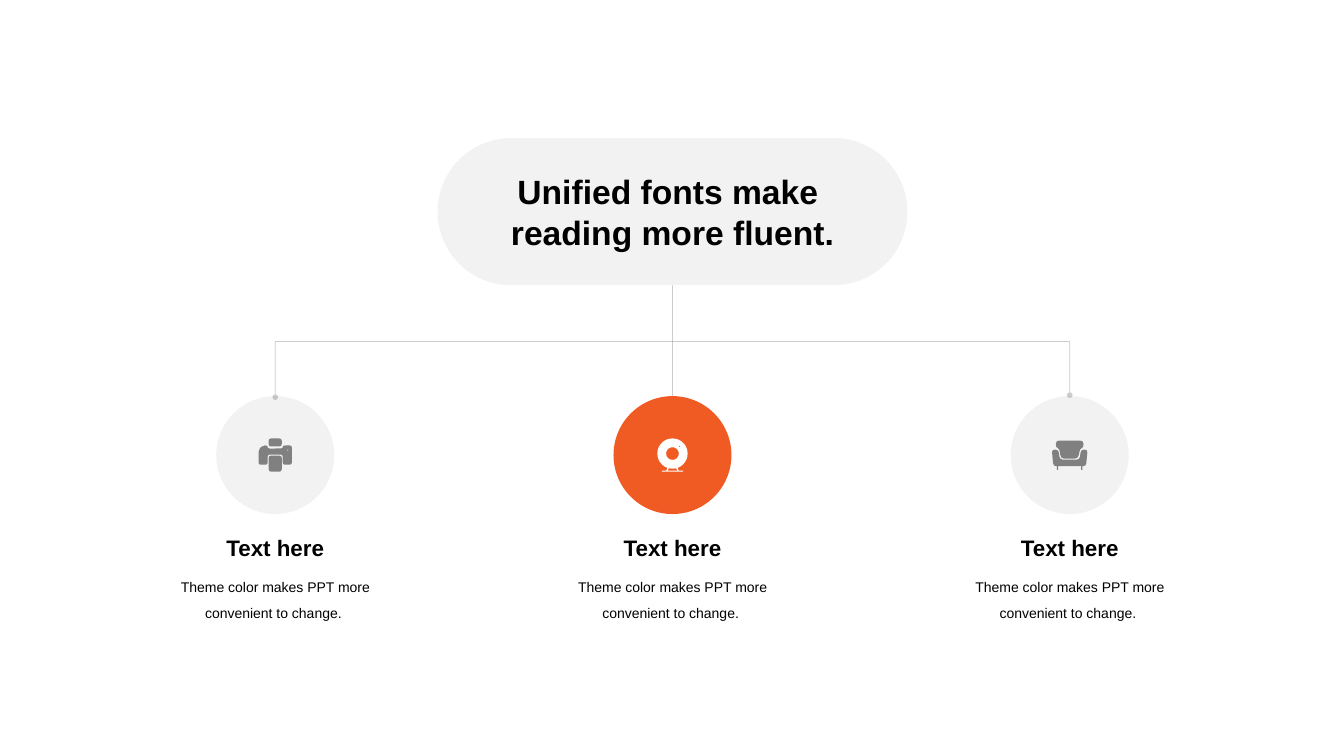
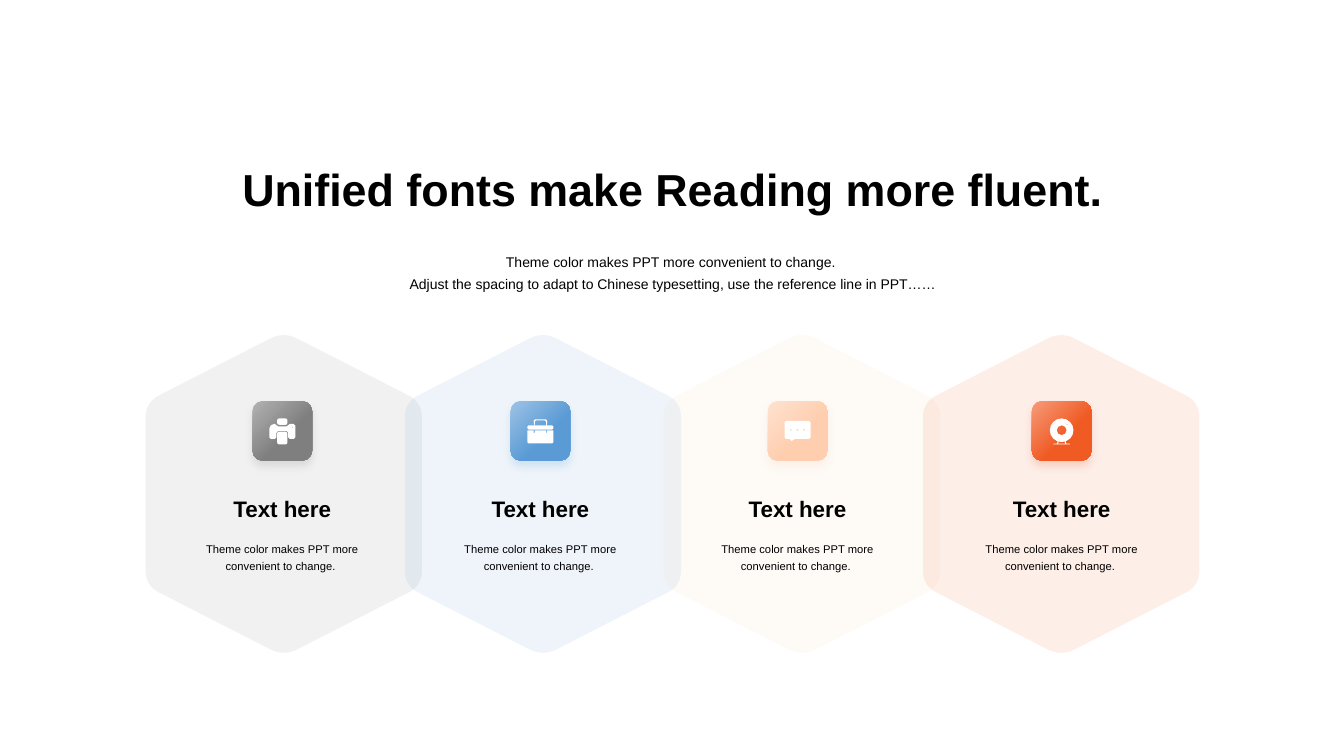
import math

import pptx
import pptx.dml.color
import pptx.enum.dml
import pptx.enum.shapes
import pptx.enum.text
import pptx.oxml
import pptx.oxml.ns
import pptx.util
from lxml import etree

WIDTH, HEIGHT = 13.33, 7.5
MIDDLE = 6.67
FONT = "Arial"
COLORS = {
    "ink": "000000", "white": "FFFFFF", "gray": "808080", "orange": "F05A23",
    "slate": "7F7F7F", "slate_light": "B2B2B2", "blue": "5B9BD5", "blue_light": "9DC3E6",
    "peach": "FECEAF", "peach_light": "FEE2CF", "orange_light": "F69C7B",
}
HEADING = "Text here"
DETAIL = "Theme color makes PPT more convenient to change. "
PILL_LINES = ["Unified fonts make ", "reading more fluent."]
TITLE = [("Unified fonts make Rea", 32), (" ", 1), ("ding more fluent.", 32)]
INTRO = [DETAIL, "Adjust the spacing to adapt to Chinese typesetting, use the reference line in PPT……"]

BRANCHES = [  # icon, disc colour, disc opacity, icon colour
    ("printer", "gray", 10, "gray"),
    ("webcam", "orange", 100, "white"),
    ("sofa", "gray", 10, "gray"),
]
BRANCH_PITCH = 3.94

CARDS = [  # icon, colour, centre of the card's content
    ("printer", "slate", 2.8),
    ("briefcase", "blue", 5.36),
    ("chat", "peach", 7.91),
    ("webcam", "orange", 10.53),
]
CARD_PITCH = 2.57
HEXAGON_W, HEXAGON_TOP, HEXAGON_BOTTOM = 2.74, 3.29, 6.51
HEXAGON_SHOULDER = 0.7


def sharp(*points):
    return False, list(points)


def rounded(points, radius):
    """Contour whose corners become curves: start, control and end of each."""
    outline = []
    for index, corner in enumerate(points):
        ends = []
        for other in (points[index - 1], points[(index + 1) % len(points)]):
            length = math.dist(corner, other)
            share = min(radius, length / 2) / length
            ends.append(tuple(c + (o - c) * share for c, o in zip(corner, other)))
        outline += [ends[0], corner, ends[1]]
    return True, outline


def block(x, y, w, h, radius=0):
    corners = [(x, y), (x + w, y), (x + w, y + h), (x, y + h)]
    return rounded(corners, radius) if radius else sharp(*corners)


def disc(x, y, radius, sides=8):
    """Circle as the rounded polygon around it."""
    reach = radius / math.cos(math.pi / sides)
    turns = [math.tau * (step + 0.5) / sides for step in range(sides)]
    return rounded([(x + reach * math.cos(t), y + reach * math.sin(t)) for t in turns], reach)


# Icon contours in hundredths of an inch; a contour inside another is a hole.
ICONS = {
    "printer": [
        block(10, 0, 13, 8, 2.5), block(10, 17, 13, 16, 2.5), disc(29, 11.5, 0.8, 4),
        rounded([(4, 7), (9, 7), (9, 10), (24, 10), (24, 7), (33, 7), (33, 26), (24, 26),
                 (24, 16), (9, 16), (9, 26), (0, 26), (0, 11)], 2),
    ],
    "webcam": [
        disc(15, 15, 15), disc(15, 15, 6.3), disc(22, 8, 0.8, 4), block(4.5, 32, 21, 1),
        sharp((10, 29.3), (11.2, 29.8), (10.2, 32), (8.8, 32)),
        sharp((20, 29.3), (18.8, 29.8), (19.8, 32), (21.2, 32)),
    ],
    "sofa": [
        rounded([(4, 0), (31.5, 0), (31.5, 7), (28, 8), (26, 18), (9, 18), (7.5, 8), (4, 7)], 3.5),
        rounded([(0, 9), (6.5, 9), (8, 19), (27.5, 19), (29, 9), (35.5, 9),
                 (34, 25.5), (1.5, 25.5)], 3),
        block(5, 25.5, 1.3, 3.5), block(29.2, 25.5, 1.3, 3.5),
    ],
    "briefcase": [
        rounded([(8, 7.5), (8, 0), (25, 0), (25, 7.5), (23.7, 7.5), (23.7, 1.3),
                 (9.3, 1.3), (9.3, 7.5)], 1.5),
        block(0, 7.5, 33, 5.3, 1.5),
        sharp((0, 14), (8, 14), (8, 17), (9, 17), (9, 14), (24, 14), (24, 17), (25, 17),
              (25, 14), (33, 14), (33, 29), (31.5, 30.5), (1.5, 30.5), (0, 29)),
    ],
    "chat": [
        rounded([(0, 0), (33, 0), (33, 23), (12, 23), (8, 27), (8, 23), (0, 23)], 1.8),
        disc(8, 11.5, 1.5, 4), disc(16.5, 11.5, 1.5, 4), disc(25, 11.5, 1.5, 4),
    ],
}


def rgb(name):
    return pptx.dml.color.RGBColor.from_string(COLORS[name])


def inches(*values):
    return [pptx.util.Inches(value) for value in values]


def set_opacity(shape, percent):
    for color in shape._element.spPr.iter(pptx.oxml.ns.qn("a:srgbClr")):
        etree.SubElement(color, pptx.oxml.ns.qn("a:alpha"), val=str(percent * 1000))


def paint(shape, color, opacity=100):
    shape.shadow.inherit = False
    shape.line.fill.background()
    shape.fill.solid()
    shape.fill.fore_color.rgb = rgb(color)
    if opacity < 100:
        set_opacity(shape, opacity)


def add_preset(page, kind, x, y, w, h, color, opacity=100):
    shape = page.shapes.add_shape(kind, *inches(x, y, w, h))
    paint(shape, color, opacity)
    return shape


def bend_corners(shape, contours):
    """Turn the control and end points of rounded contours into curves."""
    trace = shape._element.spPr.find(".//" + pptx.oxml.ns.qn("a:path"))
    steps = iter(list(trace))
    for curved, points in contours:
        segment = [next(steps) for _ in range(len(points) + 1)]
        if not curved:
            continue
        for control, end in zip(segment[1::3], segment[2::3]):
            curve = etree.SubElement(trace, pptx.oxml.ns.qn("a:quadBezTo"))
            control.addprevious(curve)
            for step in (control, end):
                curve.append(step[0])
                trace.remove(step)


def add_outline(page, contours, color, opacity=100):
    """Freeform from contours given in inches."""
    builder = None
    for _, points in contours:
        start, *others = [(x * 1000, y * 1000) for x, y in points]
        if builder is None:
            builder = page.shapes.build_freeform(*start, scale=914.4)
        else:
            builder.move_to(*start)
        builder.add_line_segments(others, close=True)
    shape = builder.convert_to_shape()
    bend_corners(shape, contours)
    paint(shape, color, opacity)


def add_icon(page, name, x, y, scale, color):
    """Icon centred on x, y."""
    contours = ICONS[name]
    corners = [point for _, points in contours for point in points]
    mid_x, mid_y = [(min(axis) + max(axis)) / 2 for axis in zip(*corners)]
    factor = scale / 100
    add_outline(page, [(curved, [(x + (px - mid_x) * factor, y + (py - mid_y) * factor)
                                 for px, py in points]) for curved, points in contours], color)


def write(frame, lines, size, bold=False, spacing=None):
    """Each line is a string, or a list of (text, size) pieces."""
    for index, line in enumerate(lines):
        para = frame.add_paragraph() if index else frame.paragraphs[0]
        para.alignment = pptx.enum.text.PP_ALIGN.CENTER
        if spacing:
            para.line_spacing = spacing
        for text, points in [(line, size)] if isinstance(line, str) else line:
            span = para.add_run()
            span.text = text
            span.font.name = FONT
            span.font.size = pptx.util.Pt(points)
            span.font.bold = bold
            span.font.color.rgb = rgb("ink")


def add_text(page, center, y, w, h, lines, size, bold=False, spacing=None, bottom=False, inset=0.05):
    box = page.shapes.add_textbox(*inches(center - w / 2, y, w, h))
    frame = box.text_frame
    frame.word_wrap = True
    frame.margin_top = frame.margin_bottom = pptx.util.Inches(inset)
    anchors = pptx.enum.text.MSO_ANCHOR
    frame.vertical_anchor = anchors.BOTTOM if bottom else anchors.TOP
    write(frame, lines, size, bold, spacing)


def add_line(page, kind, x1, y1, x2, y2):
    line = page.shapes.add_connector(kind, *inches(x1, y1, x2, y2))
    line.line.color.rgb = rgb("gray")
    line.line.width = pptx.util.Pt(0.5)
    set_opacity(line, 40)
    etree.SubElement(line._element.spPr, pptx.oxml.ns.qn("a:effectLst"))
    return line


def add_bracket(page, left, right, bar_y, left_y, right_y):
    """Elbow connector turned a quarter so that its middle part is level."""
    drop, span = left_y - right_y, right - left
    mid_x, mid_y = (left + right) / 2, (left_y + right_y) / 2
    x, y = mid_x - drop / 2, mid_y - span / 2
    line = add_line(page, pptx.enum.shapes.MSO_CONNECTOR.ELBOW, x, y, x + drop, y + span)
    properties = line._element.spPr
    frame = properties.find(pptx.oxml.ns.qn("a:xfrm"))
    for key, value in (("rot", "5400000"), ("flipH", "1"), ("flipV", "1")):
        frame.set(key, value)
    guides = properties.find(".//" + pptx.oxml.ns.qn("a:avLst"))
    bend = round((left_y - bar_y) / drop * 100000)
    etree.SubElement(guides, pptx.oxml.ns.qn("a:gd"), name="adj1", fmla=f"val {bend}")
    stroke = properties.find(pptx.oxml.ns.qn("a:ln"))
    for end in ("a:headEnd", "a:tailEnd"):
        etree.SubElement(stroke, pptx.oxml.ns.qn(end), type="oval", w="sm", len="sm")


def add_tile(page, center, y, size, color):
    """Gradient square with a soft shadow in its own colour."""
    tile = add_preset(page, pptx.enum.shapes.MSO_SHAPE.ROUNDED_RECTANGLE,
                      center - size / 2, y, size, size, color)
    tile.fill.gradient()
    tile.fill.gradient_angle = 315
    for stop, name, place in zip(tile.fill.gradient_stops, (color + "_light", color), (0, 0.6)):
        stop.color.rgb = rgb(name)
        stop.position = place
    effects = tile._element.spPr.find(pptx.oxml.ns.qn("a:effectLst"))
    effects.append(pptx.oxml.parse_xml(
        f'<a:outerShdw {pptx.oxml.ns.nsdecls("a")} blurRad="{pptx.util.Pt(6)}" '
        f'dist="{pptx.util.Pt(4)}" dir="5400000" algn="t" rotWithShape="0">'
        f'<a:srgbClr val="{COLORS[color]}"><a:alpha val="20000"/></a:srgbClr></a:outerShdw>'))


def build_tree(page):
    shapes = pptx.enum.shapes.MSO_SHAPE
    pill = add_preset(page, shapes.ROUNDED_RECTANGLE, MIDDLE - 2.33, 1.37, 4.66, 1.46, "gray", 10)
    pill.adjustments[0] = 0.5
    pill.text_frame.word_wrap = False
    pill.text_frame.vertical_anchor = pptx.enum.text.MSO_ANCHOR.MIDDLE
    write(pill.text_frame, PILL_LINES, 24, True)

    size, top = 1.17, 3.93
    centers = [MIDDLE + (index - 1) * BRANCH_PITCH for index in range(len(BRANCHES))]
    discs = [add_preset(page, shapes.OVAL, center - size / 2, top, size, size, color, opacity)
             for center, (_, color, opacity, _) in zip(centers, BRANCHES)]
    add_bracket(page, centers[0], centers[-1], 3.39, top + 0.01, top - 0.01)
    stem = add_line(page, pptx.enum.shapes.MSO_CONNECTOR.STRAIGHT, MIDDLE, 2.83, MIDDLE, top)
    stem.begin_connect(pill, 2)
    stem.end_connect(discs[1], 0)
    for center, (icon, _, _, color) in zip(centers, BRANCHES):
        add_icon(page, icon, center, top + size / 2, 1, color)
        add_text(page, center, 5.25, 2.31, 0.37, [HEADING], 16, True)
        add_text(page, center, 5.61, 2.31, 0.57, [DETAIL], 10, spacing=1.5)


def build_cards(page):
    for index, (icon, color, center) in enumerate(CARDS):
        middle = MIDDLE + (index - (len(CARDS) - 1) / 2) * CARD_PITCH
        left, right = middle - HEXAGON_W / 2, middle + HEXAGON_W / 2
        upper, lower = HEXAGON_TOP + HEXAGON_SHOULDER, HEXAGON_BOTTOM - HEXAGON_SHOULDER
        hexagon = [(middle, HEXAGON_TOP), (right, upper), (right, lower),
                   (middle, HEXAGON_BOTTOM), (left, lower), (left, upper)]
        add_outline(page, [rounded(hexagon, 0.15)], color, 10)
        add_tile(page, center, 3.98, 0.59, color)
        add_icon(page, icon, center, 4.28, 0.78, "white")
        add_text(page, center, 4.86, 2.04, 0.37, [HEADING], 16, True, bottom=True)
        add_text(page, center, 5.24, 2.04, 0.62, [DETAIL], 8, spacing=1.3, inset=0.1)
    add_text(page, MIDDLE, 1.3, 8.89, 0.89, [TITLE], 32, True, bottom=True)
    add_text(page, MIDDLE, 2.42, 8.89, 0.52, INTRO, 10, spacing=1.3)


def main():
    deck = pptx.Presentation()
    deck.slide_width, deck.slide_height = inches(WIDTH, HEIGHT)
    for build in (build_tree, build_cards):
        build(deck.slides.add_slide(deck.slide_layouts[6]))
    deck.save("out.pptx")


if __name__ == "__main__":
    main()
